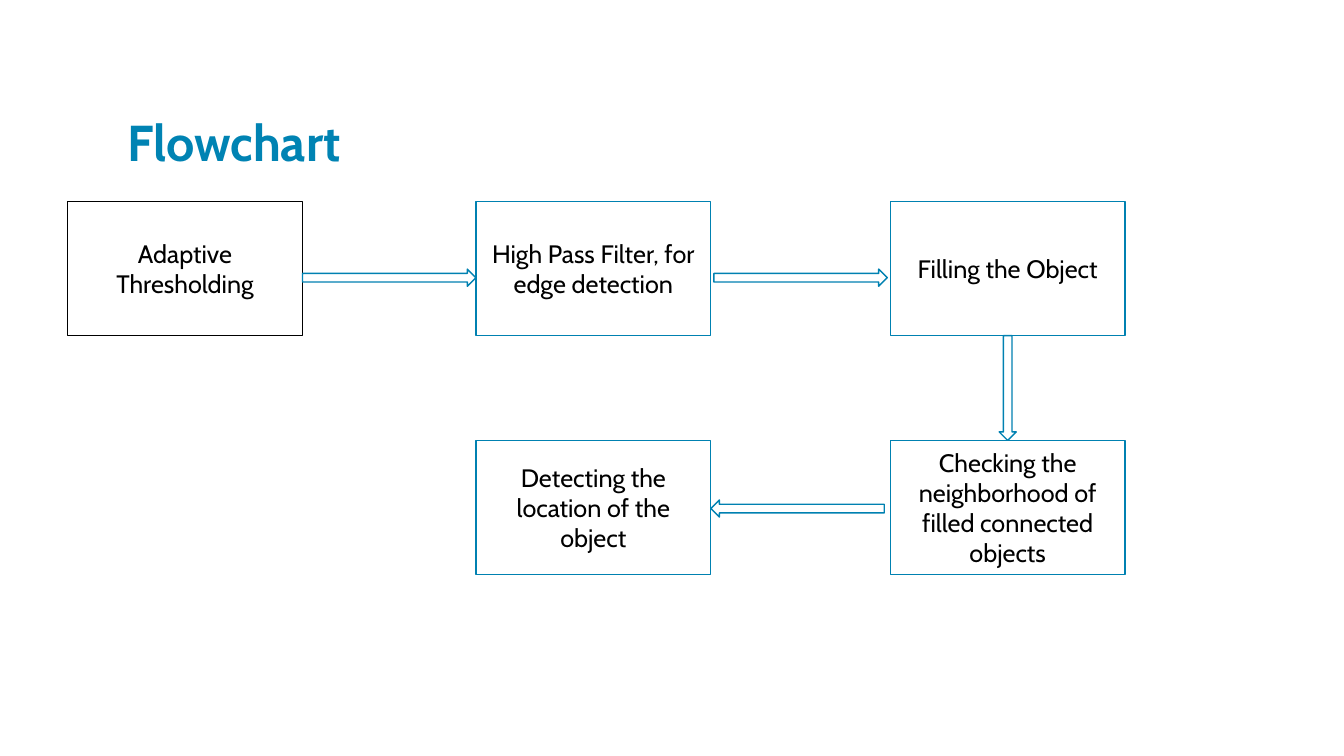
from typing import NamedTuple

from pptx import Presentation
from pptx.dml.color import RGBColor
from pptx.enum.shapes import MSO_SHAPE as Shape
from pptx.enum.text import MSO_ANCHOR as Anchor, MSO_AUTO_SIZE as Fit, PP_ALIGN as Align
from pptx.shapes.autoshape import Shape as AutoShape
from pptx.slide import Slide
from pptx.text.text import _Paragraph as Para
from pptx.util import Pt

PX = 9144  # EMU, 100 px to the inch
FONT = "Cabin"
BLACK = RGBColor(0x00, 0x00, 0x00)
WHITE = RGBColor(0xFF, 0xFF, 0xFF)
BLUE = RGBColor(0x00, 0x81, 0xB1)
TITLE = RGBColor(0x00, 0x83, 0xB3)

BOX_W, BOX_H = 233, 133
COLS = (67, 472, 883)
ROWS = (200, 437)
LONG, THICK = 172, 17


class Step(NamedTuple):
    text: str
    col: int
    row: int
    edge: RGBColor = BLUE


class Arrow(NamedTuple):
    kind: Shape
    left: int
    top: int
    width: int = LONG
    height: int = THICK
    turn: int = 0


STEPS = (
    Step("Adaptive Thresholding", 0, 0, BLACK),
    Step("High Pass Filter, for edge detection", 1, 0),
    Step("Filling the Object", 2, 0),
    Step("Checking the neighborhood of filled connected objects", 2, 1),
    Step("Detecting the location of the object", 1, 1),
)

ARROWS = (
    Arrow(Shape.RIGHT_ARROW, COLS[0] + BOX_W, 267),
    Arrow(Shape.RIGHT_ARROW, 708, 267),
    Arrow(Shape.RIGHT_ARROW, COLS[1] + BOX_W, 496, turn=180),
    Arrow(Shape.DOWN_ARROW, 991, ROWS[0] + BOX_H, THICK, ROWS[1] - ROWS[0] - BOX_H),
)


def style(para: Para, size: int, color: RGBColor, align: Align) -> None:
    para.alignment = align
    para.font.name = FONT
    para.font.size = Pt(size)
    para.font.color.rgb = color


def add_shape(slide: Slide, kind: Shape, left: int, top: int,
              width: int, height: int, edge: RGBColor) -> AutoShape:
    shape = slide.shapes.add_shape(kind, left * PX, top * PX, width * PX, height * PX)
    shape.shadow.inherit = False
    shape.fill.solid()
    shape.fill.fore_color.rgb = WHITE
    shape.line.color.rgb = edge
    shape.line.width = Pt(1)
    return shape


def add_title(slide: Slide, text: str) -> None:
    title = slide.shapes.title
    title.left, title.top = 116 * PX, 58 * PX
    title.width, title.height = 950 * PX, 117 * PX
    frame = title.text_frame
    frame.text = text
    frame.auto_size = Fit.NONE
    frame.vertical_anchor = Anchor.BOTTOM
    para = frame.paragraphs[0]
    para.line_spacing = 0.8
    para.font.bold = True
    style(para, 36, TITLE, Align.LEFT)


def add_step(slide: Slide, step: Step) -> None:
    box = add_shape(slide, Shape.RECTANGLE, COLS[step.col], ROWS[step.row],
                    BOX_W, BOX_H, step.edge)
    frame = box.text_frame
    frame.text = step.text
    frame.word_wrap = True
    frame.vertical_anchor = Anchor.MIDDLE
    style(frame.paragraphs[0], 18, BLACK, Align.CENTER)


def add_arrow(slide: Slide, arrow: Arrow) -> None:
    shape = add_shape(slide, arrow.kind, arrow.left, arrow.top,
                      arrow.width, arrow.height, BLUE)
    shape.rotation = arrow.turn


def main() -> None:
    deck = Presentation()
    deck.slide_width, deck.slide_height = 1333 * PX, 750 * PX
    slide = deck.slides.add_slide(deck.slide_layouts.get_by_name("Title Only"))
    add_title(slide, "Flowchart")
    for step in STEPS:
        add_step(slide, step)
    for arrow in ARROWS:
        add_arrow(slide, arrow)
    deck.save("out.pptx")


if __name__ == "__main__":
    main()
